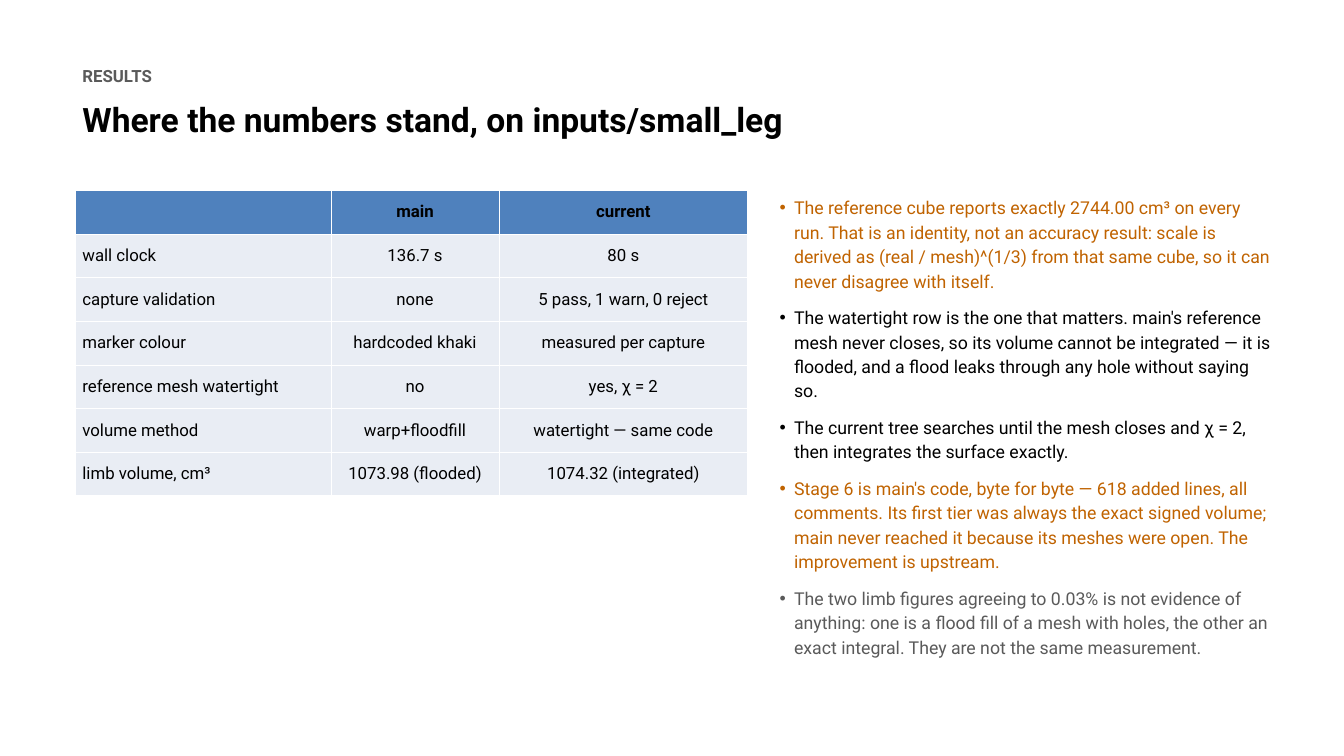
from lxml.etree import SubElement
from pptx import Presentation
from pptx.dml.color import RGBColor
from pptx.enum.text import MSO_ANCHOR, MSO_AUTO_SIZE, PP_ALIGN
from pptx.oxml.ns import qn
from pptx.util import Cm, Pt

BLACK = RGBColor(0x00, 0x00, 0x00)
GREY = RGBColor(0x5A, 0x5A, 0x5A)
AMBER = RGBColor(0xC0, 0x63, 0x00)
BLUE = RGBColor(0x4F, 0x81, 0xBD)
PALE = RGBColor(0xE9, 0xED, 0xF4)

LEFT, TOP = 2.86, 7.2
COLS = (9.65, 6.35, 9.4)
ROW = 1.65

ROWS = (
    ("", "main", "current"),
    ("wall clock", "136.7 s", "80 s"),
    ("capture validation", "none", "5 pass, 1 warn, 0 reject"),
    ("marker colour", "hardcoded khaki", "measured per capture"),
    ("reference mesh watertight", "no", "yes, χ = 2"),
    ("volume method", "warp+floodfill", "watertight — same code"),
    ("limb volume, cm³", "1073.98 (flooded)", "1074.32 (integrated)"),
)

NOTES = (
    ("The reference cube reports exactly 2744.00 cm³ on every run. That is an identity, "
     "not an accuracy result: scale is derived as (real / mesh)^(1/3) from that same cube, "
     "so it can never disagree with itself.", AMBER),
    ("The watertight row is the one that matters. main's reference mesh never closes, "
     "so its volume cannot be integrated — it is flooded, and a flood leaks through "
     "any hole without saying so.", BLACK),
    ("The current tree searches until the mesh closes and χ = 2, "
     "then integrates the surface exactly.", BLACK),
    ("Stage 6 is main's code, byte for byte — 618 added lines, all comments. "
     "Its first tier was always the exact signed volume; main never reached it "
     "because its meshes were open. The improvement is upstream.", AMBER),
    ("The two limb figures agreeing to 0.03% is not evidence of anything: one is a flood "
     "fill of a mesh with holes, the other an exact integral. "
     "They are not the same measurement.", GREY),
)


class Deck:
    """Hold the type style and the slide being filled."""

    def __init__(self, slide, face="Roboto", lead=1.15):
        self.slide, self.face, self.lead = slide, face, lead

    def style(self, para, size, color, bold=False, align=PP_ALIGN.LEFT):
        para.alignment = align
        font = para.font
        font.name, font.size, font.bold = self.face, Pt(size), bold
        font.color.rgb = color

    def frame(self, holder, left, top, width, height):
        holder.left, holder.top = Cm(left), Cm(top)
        holder.width, holder.height = Cm(width), Cm(height)
        frame = holder.text_frame
        frame.word_wrap = True
        frame.auto_size = MSO_AUTO_SIZE.NONE
        frame.vertical_anchor = MSO_ANCHOR.TOP
        return frame

    def lines(self, frame, texts, gap):
        for i, text in enumerate(texts):
            para = frame.paragraphs[0] if i == 0 else frame.add_paragraph()
            para.text = text
            para.line_spacing = self.lead
            para.space_before = Pt(gap if i else 0)
            yield para

    def title(self, label, text, *box):
        frame = self.frame(self.slide.shapes.title, *box)
        top, main = self.lines(frame, (label, text), 8)
        self.style(top, 18, GREY, True)
        self.style(main, 36, BLACK, True)

    def bullets(self, notes, *box):
        frame = self.frame(self.slide.placeholders[1], *box)
        paras = self.lines(frame, [text for text, _ in notes], 13)
        for para, (_, color) in zip(paras, notes):
            props = para._p.get_or_add_pPr()
            props.set("marL", str(Cm(0.55)))
            props.set("indent", str(-Cm(0.55)))
            SubElement(props, qn("a:buChar"), char="•")
            self.style(para, 19, color)

    def table(self, rows, cols, left, top, step):
        table = self.slide.shapes.add_table(
            len(rows), len(cols), Cm(left), Cm(top),
            Cm(sum(cols)), Cm(step * len(rows))).table
        table.horz_banding = False
        for col, width in zip(table.columns, cols):
            col.width = Cm(width)
        for r, row in enumerate(rows):
            for c, text in enumerate(row):
                cell = table.cell(r, c)
                cell.text = text
                cell.vertical_anchor = MSO_ANCHOR.MIDDLE
                cell.fill.solid()
                cell.fill.fore_color.rgb = PALE if r else BLUE
                self.style(cell.text_frame.paragraphs[0], 18, BLACK, r == 0,
                           PP_ALIGN.CENTER if c else PP_ALIGN.LEFT)


def main():
    prs = Presentation()
    prs.slide_width, prs.slide_height = Cm(50.8), Cm(28.58)
    deck = Deck(prs.slides.add_slide(prs.slide_layouts[1]))
    deck.title("RESULTS", "Where the numbers stand, on inputs/small_leg",
               LEFT, 2.24, 45.08, 3.9)
    deck.table(ROWS, COLS, LEFT, TOP, ROW)
    deck.bullets(NOTES, 29.21, TOP, 19.13, 19.43)
    prs.save("out.pptx")


if __name__ == "__main__":
    main()
